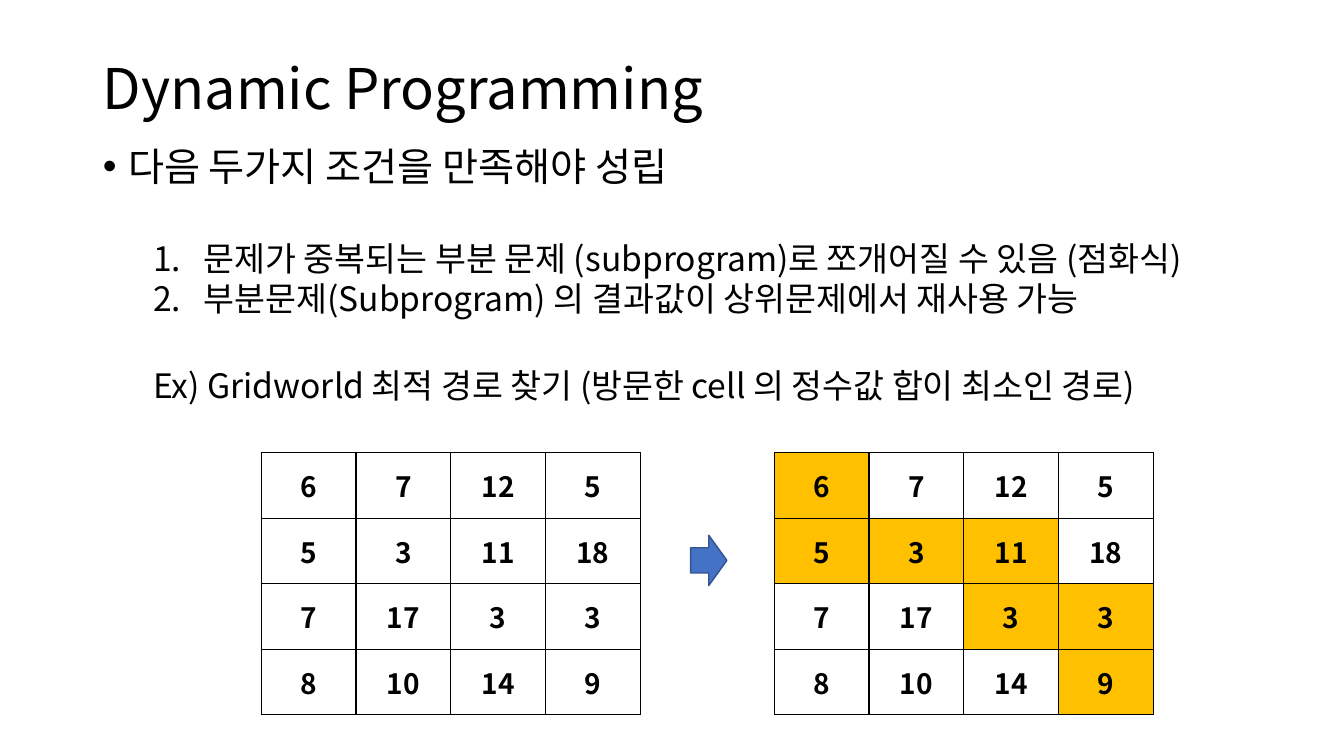
from dataclasses import dataclass

from lxml import etree
from pptx import Presentation, util as u
from pptx.dml.color import RGBColor
from pptx.enum import shapes, text
from pptx.oxml.ns import qn


@dataclass(frozen=True)
class Theme:
    """Colours, font and type sizes of the slide."""
    font: str = "Noto Sans CJK KR"
    ink: str = "000000"
    route: str = "FFC000"
    arrow: str = "4472C4"
    arrow_line: str = "325491"
    title: int = 40
    lead: int = 28
    item: int = 24
    cell: int = 20


T = Theme()
WIDTH, HEIGHT = 13.33, 7.5
CELL_W, CELL_H = 0.94, 0.65
GRID_TOP, GRID_LEFTS = 4.49, (2.59, 7.68)

GRID = ((6, 7, 12, 5), (5, 3, 11, 18), (7, 17, 3, 3), (8, 10, 14, 9))
ROUTE = {(0, 0), (1, 0), (1, 1), (1, 2), (2, 2), (2, 3), (3, 3)}

# text, level, size, space before, left margin, hanging indent, bullet
BODY = (
    ("다음 두가지 조건을 만족해야 성립", 0, T.lead, 0, 0.25, -0.25,
     ("buChar", {"char": "•"})),
    ("문제가 중복되는 부분 문제 (subprogram)로 쪼개어질 수 있음 (점화식)",
     1, T.item, 38, 1, -0.5, ("buAutoNum", {"type": "arabicPeriod"})),
    ("부분문제(Subprogram) 의 결과값이 상위문제에서 재사용 가능",
     1, T.item, 2.6, 1, -0.5, ("buAutoNum", {"type": "arabicPeriod"})),
    ("Ex) Gridworld 최적 경로 찾기 (방문한 cell 의 정수값 합이 최소인 경로)",
     1, T.item, 36.2, 0.5, 0, ("buNone", {})),
)


def color(value):
    """Turn a hex string into a colour."""
    return RGBColor.from_string(value)


def place(s, left, top, width, height):
    """Move and size a shape, in inches."""
    s.left, s.top, s.width, s.height = map(u.Inches, (left, top, width, height))


def style(p, size, bold=False, align=text.PP_ALIGN.LEFT):
    """Set alignment and font of a paragraph, for Latin and Korean alike."""
    p.alignment = align
    f = p.font
    f.size, f.bold, f.name = u.Pt(size), bold, T.font
    f.color.rgb = color(T.ink)
    latin = p._p.pPr.find(qn("a:defRPr")).find(qn("a:latin"))
    east = etree.Element(qn("a:ea"), typeface=T.font)
    latin.addnext(east)


def add_title(slide, words):
    """Fill the title placeholder."""
    s = slide.shapes.title
    place(s, 0.92, 0.4, 11.5, 1.01)
    tf = s.text_frame
    tf.text = words
    tf.auto_size = text.MSO_AUTO_SIZE.NONE
    tf.vertical_anchor = text.MSO_ANCHOR.MIDDLE
    p = tf.paragraphs[0]
    p.line_spacing = 0.9
    style(p, T.title)


def add_body(slide, rows):
    """Fill the body placeholder with bulleted and numbered paragraphs."""
    s = slide.placeholders[1]
    place(s, 0.92, 1.41, 12.09, 4.76)
    tf = s.text_frame
    tf.text = "\n".join(row[0] for row in rows)
    tf.auto_size = text.MSO_AUTO_SIZE.NONE
    for p, (_, level, size, before, margin, indent, bullet) in zip(tf.paragraphs, rows):
        p.level, p.line_spacing, p.space_before = level, 0.9, u.Pt(before)
        style(p, size)
        pPr = p._p.pPr
        pPr.set("marL", str(u.Inches(margin)))
        pPr.set("indent", str(u.Inches(indent)))
        tag, attrs = bullet
        mark = etree.Element(qn("a:" + tag), attrs)
        pPr.find(qn("a:defRPr")).addprevious(mark)


def outline(cell):
    """Draw a thin line on all four sides of a cell."""
    tcPr = cell._tc.get_or_add_tcPr()
    for side in "LRTB":
        ln = etree.SubElement(tcPr, qn("a:ln" + side), w=str(u.Pt(1)))
        fill = etree.SubElement(ln, qn("a:solidFill"))
        etree.SubElement(fill, qn("a:srgbClr"), val=T.ink)


def add_grid(slide, left, values, marked=()):
    """Add a grid of numbers, with the marked cells filled."""
    rows, cols = len(values), len(values[0])
    box = map(u.Inches, (left, GRID_TOP, cols * CELL_W, rows * CELL_H))
    table = slide.shapes.add_table(rows, cols, *box).table
    table.first_row = table.horz_banding = False
    for column in table.columns:
        column.width = u.Inches(CELL_W)
    for r, row in enumerate(values):
        table.rows[r].height = u.Inches(CELL_H)
        for c, value in enumerate(row):
            cell = table.cell(r, c)
            cell.text = str(value)
            cell.vertical_anchor = text.MSO_ANCHOR.MIDDLE
            style(cell.text_frame.paragraphs[0], T.cell, True, text.PP_ALIGN.CENTER)
            outline(cell)
            if (r, c) in marked:
                cell.fill.solid()
                cell.fill.fore_color.rgb = color(T.route)
            else:
                cell.fill.background()


def add_arrow(slide, left, top, width, height):
    """Add the block arrow between the grids."""
    s = slide.shapes.add_shape(shapes.MSO_SHAPE.RIGHT_ARROW,
                               *map(u.Inches, (left, top, width, height)))
    s.shadow.inherit = False
    s.fill.solid()
    s.fill.fore_color.rgb = color(T.arrow)
    s.line.color.rgb = color(T.arrow_line)
    s.line.width = u.Pt(1)


def main():
    """Build the slide and save it."""
    prs = Presentation()
    prs.slide_width, prs.slide_height = u.Inches(WIDTH), u.Inches(HEIGHT)
    slide = prs.slides.add_slide(prs.slide_layouts[1])
    add_title(slide, "Dynamic Programming")
    add_body(slide, BODY)
    for left, marked in zip(GRID_LEFTS, ((), ROUTE)):
        add_grid(slide, left, GRID, marked)
    add_arrow(slide, 6.85, 5.31, 0.36, 0.5)
    prs.save("out.pptx")


main()
